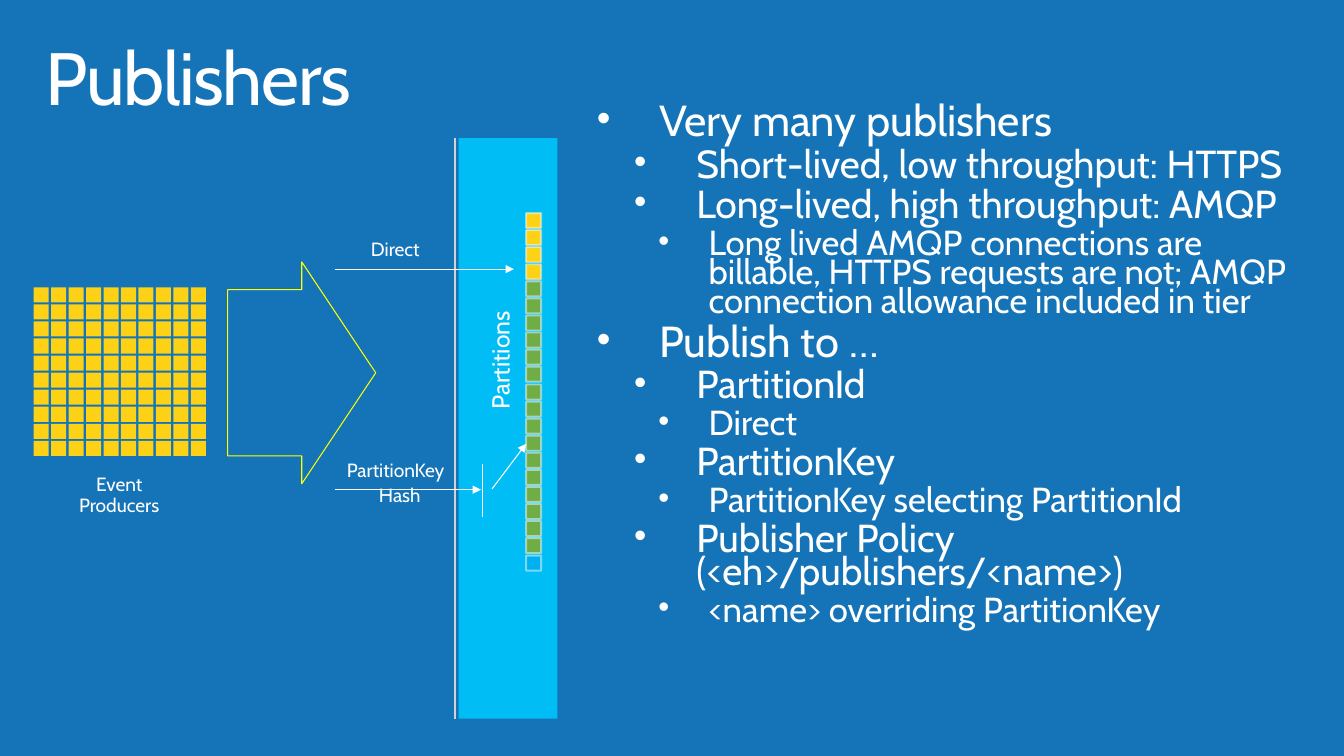
"""Build the Publishers slide: event producers feeding partitions, with notes in bullets."""
from dataclasses import dataclass
from typing import Optional

from lxml.etree import SubElement
from pptx import Presentation
from pptx.dml.color import RGBColor
from pptx.enum.shapes import MSO_CONNECTOR as CONN, MSO_SHAPE as SHAPE
from pptx.enum.text import MSO_ANCHOR as ANCHOR, MSO_AUTO_SIZE as FIT, PP_ALIGN as ALIGN
from pptx.oxml.ns import qn
from pptx.util import Cm, Pt

COLORS = {
    "background": "1574B8", "white": "FFFFFF", "yellow": "FCD116",
    "green": "70AD47", "blue": "00B0F0", "band": "00BEF5",
    "outline": "FFFF00", "edge": "D2D2D2", "cell_line": "F9F9F9",
}
FONT = "Cabin"
CELL = 0.38
PITCH_X, PITCH_Y = 0.44, 0.43
LEVELS = [(31, 1.57, 1.57), (27.9, 2.51, 1.57), (24.8, 2.82, 1.27)]


@dataclass
class Label:
    text: str
    box: tuple[float, float, float, float]
    size: float = 13.7
    inset: tuple[float, float] = (0.51, 0.41)
    wrap: bool = False
    spacing: Optional[float] = 0.9
    after: Optional[float] = 5.9
    align: Optional[ALIGN] = None
    anchor: ANCHOR = ANCHOR.TOP
    rotation: float = 0
    tracking: Optional[int] = None


@dataclass
class Line:
    start: tuple[float, float]
    end: tuple[float, float]
    color: str = "white"
    width: float = 0.75
    arrow: bool = True


@dataclass
class Partitions:
    top: float
    count: int
    color: str


TITLE = Label("Publishers", (0.74, 0.81, 32.05, 2.49), 52.9, (0.41, 0.25),
              wrap=True, after=None, tracking=-100)
PRODUCERS = Label("Event Producers", (0.86, 11.66, 4.29, 1.65), wrap=True,
                  after=None, align=ALIGN.CENTER, anchor=ANCHOR.MIDDLE)
LABELS = [
    Label("Direct", (8.84, 5.79, 2.41, 1.32)),
    Label("PartitionKey", (8.23, 11.35, 3.61, 1.32)),
    Label("Hash", (9.04, 11.99, 2.08, 1.32)),
    Label("Partitions", (10.95, 8.41, 3.3, 1.02), 17.6, (0.25, 0.13),
          spacing=None, after=None, rotation=270),
]
BAND_EDGE = Line((11.46, 3.48), (11.46, 18.11), "edge", 1.5, False)
ROUTES = [
    Line((8.43, 6.78), (12.95, 6.78)),
    Line((8.43, 12.34), (12.12, 12.34)),
    Line((12.17, 11.68), (12.17, 13.03), arrow=False),
    Line((12.4, 12.32), (13.26, 11.18)),
]
PARTITIONS = [
    Partitions(5.37, 4, "yellow"),
    Partitions(7.09, 6, "green"),
    Partitions(9.69, 10, "green"),
    Partitions(14, 1, "blue"),
]
BULLETS = [
    (0, "Very many publishers"),
    (1, "Short-lived, low throughput: HTTPS"),
    (1, "Long-lived, high throughput: AMQP"),
    (2, "Long lived AMQP connections are billable, HTTPS requests are not; "
        "AMQP connection allowance included in tier"),
    (0, "Publish to …"),
    (1, "PartitionId"),
    (2, "Direct"),
    (1, "PartitionKey"),
    (2, "PartitionKey selecting PartitionId"),
    (1, "Publisher Policy (<eh>/publishers/<name>)"),
    (2, "<name> overriding PartitionKey"),
]


def rgb(name: str) -> RGBColor:
    return RGBColor.from_string(COLORS[name])


def add_run(p, text: str, size: float):
    r = p.add_run()
    r.text = text
    r.font.name, r.font.size = FONT, Pt(size)
    r.font.color.rgb = rgb("white")
    return r


def add_frame(shapes, box: tuple, inset: tuple[float, float], wrap: bool):
    sp = shapes.add_textbox(*map(Cm, box))
    tf = sp.text_frame
    tf.word_wrap = wrap
    tf.auto_size = FIT.NONE if wrap else FIT.SHAPE_TO_FIT_TEXT
    tf.margin_left = tf.margin_right = Cm(inset[0])
    tf.margin_top = tf.margin_bottom = Cm(inset[1])
    return sp


def add_label(shapes, label: Label) -> None:
    sp = add_frame(shapes, label.box, label.inset, label.wrap)
    sp.rotation = label.rotation
    sp.text_frame.vertical_anchor = label.anchor
    p = sp.text_frame.paragraphs[0]
    p.alignment, p.line_spacing = label.align, label.spacing
    if label.after is not None:
        p.space_after = Pt(label.after)
    r = add_run(p, label.text, label.size)
    if label.tracking is not None:
        r.font._element.set("spc", str(label.tracking))


def add_bullets(shapes) -> None:
    tf = add_frame(shapes, (14.63, 2.46, 18.57, 15.62), (0.41, 0.25), True).text_frame
    for i, (level, text) in enumerate(BULLETS):
        p = tf.add_paragraph() if i else tf.paragraphs[0]
        size, indent, hanging = LEVELS[level]
        p.level, p.line_spacing = level, 0.7
        props = p._p.get_or_add_pPr()
        props.set("marL", str(Cm(indent)))
        props.set("indent", str(-Cm(hanging)))
        before = SubElement(props, qn("a:spcBef"))
        SubElement(before, qn("a:spcPct"), val="20000")
        SubElement(props, qn("a:buSzPct"), val="90000")
        SubElement(props, qn("a:buFont"), typeface="Arial")
        SubElement(props, qn("a:buChar"), char="•")
        add_run(p, text, size)


def add_block(shapes, kind: SHAPE, box: tuple, fill: Optional[str] = None,
              line: Optional[str] = None, width: float = 0.75):
    sp = shapes.add_shape(kind, *map(Cm, box))
    sp.shadow.inherit = False
    if fill:
        sp.fill.solid()
        sp.fill.fore_color.rgb = rgb(fill)
    else:
        sp.fill.background()
    if line:
        sp.line.color.rgb, sp.line.width = rgb(line), Pt(width)
    else:
        sp.line.fill.background()
    return sp


def add_line(shapes, line: Line) -> None:
    sp = shapes.add_connector(CONN.STRAIGHT, *map(Cm, line.start + line.end))
    sp.line.color.rgb, sp.line.width = rgb(line.color), Pt(line.width)
    if line.arrow:
        SubElement(sp.line._get_or_add_ln(), qn("a:tailEnd"), type="triangle")
    SubElement(sp._element.spPr, qn("a:effectLst"))


def add_partitions(shapes, group: Partitions) -> None:
    for i in range(group.count):
        box = (13.26, group.top + i * PITCH_Y, CELL, CELL)
        sp = add_block(shapes, SHAPE.RECTANGLE, box, group.color, "cell_line", 1.35)
        color = sp.line._get_or_add_ln().find(".//" + qn("a:srgbClr"))
        SubElement(color, qn("a:alpha"), val="50000")


def main() -> None:
    prs = Presentation()
    prs.slide_width, prs.slide_height = Cm(33.87), Cm(19.05)
    s = prs.slides.add_slide(prs.slide_layouts[6])
    s.background.fill.solid()
    s.background.fill.fore_color.rgb = rgb("background")
    add_label(s.shapes, TITLE)
    add_bullets(s.shapes)
    add_label(s.shapes, PRODUCERS)
    grid = s.shapes.add_group_shape().shapes
    for i in range(100):
        row, col = divmod(i, 10)
        box = (0.85 + col * PITCH_X, 7.24 + row * PITCH_Y, CELL, CELL)
        add_block(grid, SHAPE.RECTANGLE, box, "yellow")
    arrow = add_block(s.shapes, SHAPE.RIGHT_ARROW, (5.74, 6.6, 3.73, 5.59), line="outline")
    arrow.adjustments[0], arrow.adjustments[1] = 0.75, 0.5
    add_block(s.shapes, SHAPE.RECTANGLE, (11.56, 3.48, 2.49, 14.63), "band")
    add_line(s.shapes, BAND_EDGE)
    for group in PARTITIONS:
        add_partitions(s.shapes, group)
    for route in ROUTES:
        add_line(s.shapes, route)
    for label in LABELS:
        add_label(s.shapes, label)
    prs.save("out.pptx")


if __name__ == "__main__":
    main()
